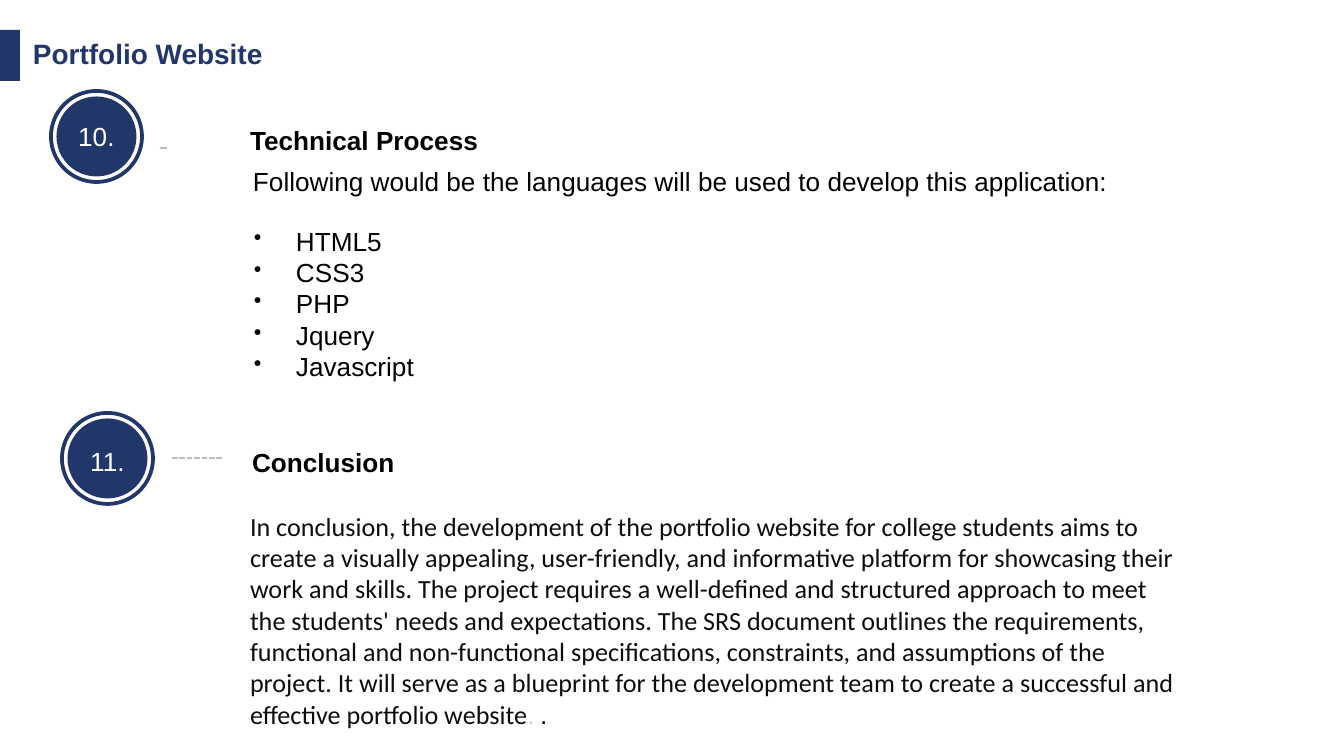
from dataclasses import dataclass

from lxml.etree import SubElement
from pptx import Presentation
from pptx.dml.color import RGBColor
from pptx.enum.dml import MSO_LINE
from pptx.enum.shapes import MSO_CONNECTOR, MSO_SHAPE
from pptx.enum.text import MSO_ANCHOR, PP_ALIGN
from pptx.oxml.ns import qn
from pptx.util import Pt

SLIDE_W, SLIDE_H = 1344, 756
EMU_PER_PX = 9144000 / SLIDE_W


def px(length):
    return round(length * EMU_PER_PX)


@dataclass(frozen=True)
class Theme:
    title: str = "21366A"
    badge: str = "213669"
    white: str = "FFFFFF"
    black: str = "000000"
    body: str = "0D0D0D"
    faint: str = "D1D4DB"
    dash: str = "BEBEBE"
    title_size: float = 15
    text_size: float = 14
    line_pitch: float = 16.8
    font: str = "Arial"
    body_font: str = "Calibri"


class SlideBuilder:
    def __init__(self, slide, theme):
        self.slide = slide
        self.theme = theme

    def style(self, run, color, size=None, bold=False, font=None):
        run.font.name = font or self.theme.font
        run.font.size = Pt(size or self.theme.text_size)
        run.font.bold = bold
        run.font.color.rgb = RGBColor.from_string(color)

    def shape(self, kind, x, y, w, h, fill=None, line=None):
        shape = self.slide.shapes.add_shape(kind, px(x), px(y), px(w), px(h))
        shape.shadow.inherit = False
        if fill:
            shape.fill.solid()
            shape.fill.fore_color.rgb = RGBColor.from_string(fill)
        else:
            shape.fill.background()
        if line:
            shape.line.color.rgb = RGBColor.from_string(line)
            shape.line.width = Pt(2)
        else:
            shape.line.fill.background()
        return shape

    def text(self, x, y, w, h, lines, color, pitch=None, **style):
        box = self.slide.shapes.add_textbox(px(x), px(y), px(w), px(h))
        frame = box.text_frame
        frame.word_wrap = True
        frame.margin_left = frame.margin_right = 0
        frame.margin_top = frame.margin_bottom = 0
        frame.text = "\n".join(lines)
        for paragraph in frame.paragraphs:
            if pitch:
                paragraph.line_spacing = Pt(pitch)
            for run in paragraph.runs:
                self.style(run, color, **style)
        return frame

    def bullets(self, x, y, w, h, items, indent):
        frame = self.text(x, y, w, h, items, self.theme.black,
                          pitch=self.theme.line_pitch)
        for paragraph in frame.paragraphs:
            props = paragraph._p.get_or_add_pPr()
            props.set("marL", str(px(indent)))
            props.set("indent", str(-px(indent)))
            SubElement(props, qn("a:buSzPct")).set("val", "86000")
            SubElement(props, qn("a:buChar")).set("char", "•")

    def badge(self, x, y, number, drop=0):
        ring, disc = 91, 80
        gap = (ring - disc) / 2
        circle = self.shape(MSO_SHAPE.OVAL, x + gap, y + gap, disc, disc,
                            fill=self.theme.badge)
        frame = circle.text_frame
        frame.word_wrap = False
        frame.vertical_anchor = MSO_ANCHOR.MIDDLE
        frame.margin_left = frame.margin_right = frame.margin_bottom = 0
        frame.margin_top = px(2 * drop)
        frame.text = number
        frame.paragraphs[0].alignment = PP_ALIGN.CENTER
        self.style(frame.paragraphs[0].runs[0], self.theme.white)
        self.shape(MSO_SHAPE.OVAL, x, y, ring, ring, line=self.theme.badge)

    def rule(self, x1, x2, y, width, dash=None):
        rule = self.slide.shapes.add_connector(
            MSO_CONNECTOR.STRAIGHT, px(x1), px(y), px(x2), px(y))
        rule.line.color.rgb = RGBColor.from_string(self.theme.dash)
        rule.line.width = Pt(width)
        if dash:
            rule.line.dash_style = dash
        SubElement(rule._element.spPr, qn("a:effectLst"))


def main():
    deck = Presentation()
    deck.slide_width, deck.slide_height = px(SLIDE_W), px(SLIDE_H)
    theme = Theme()
    page = SlideBuilder(deck.slides.add_slide(deck.slide_layouts[6]), theme)

    # Title with its edge flag
    page.shape(MSO_SHAPE.RECTANGLE, 0, 30, 20, 51, fill=theme.title)
    page.text(33, 37, 300, 34, ["Portfolio Website"], theme.title,
              size=theme.title_size, bold=True)

    # Section 10: technical process
    page.badge(51, 91, "10.")
    page.rule(160, 167, 148, 1.5)
    page.text(250, 124, 600, 32, ["Technical Process"], theme.black, bold=True)
    page.text(253, 165, 900, 32,
              ["Following would be the languages will be used to develop "
               "this application:"], theme.black)
    page.bullets(254, 225, 600, 158,
                 ["HTML5", "CSS3", "PHP", "Jquery", "Javascript"], indent=42)

    # Section 11: conclusion
    page.badge(62, 413, "11.", drop=3)
    page.rule(172, 223, 458, 1, MSO_LINE.SQUARE_DOT)
    page.text(252, 446, 600, 32, ["Conclusion"], theme.black, bold=True)
    conclusion = page.text(
        250, 510, 934, 220,
        ["In conclusion, the development of the portfolio website for college "
         "students aims to create a visually appealing, user-friendly, and "
         "informative platform for showcasing their work and skills. The "
         "project requires a well-defined and structured approach to meet the "
         "students' needs and expectations. The SRS document outlines the "
         "requirements, functional and non-functional specifications, "
         "constraints, and assumptions of the project. It will serve as a "
         "blueprint for the development team to create a successful and "
         "effective portfolio website"],
        theme.body, pitch=theme.line_pitch, font=theme.body_font)
    for ending, color, font in ((". ", theme.faint, theme.body_font),
                                (".", theme.black, theme.font)):
        run = conclusion.paragraphs[0].add_run()
        run.text = ending
        page.style(run, color, font=font)

    deck.save("out.pptx")


if __name__ == "__main__":
    main()
